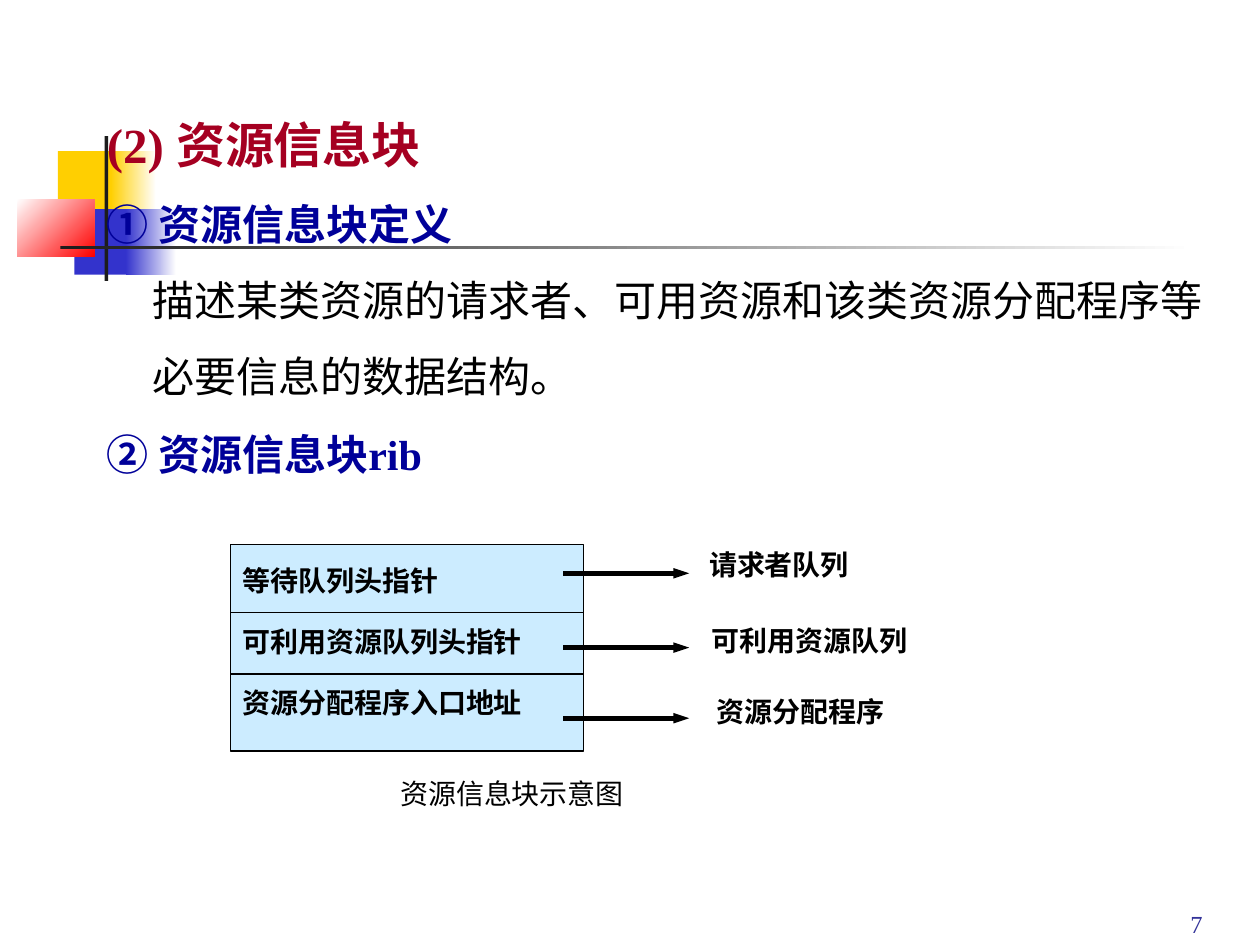
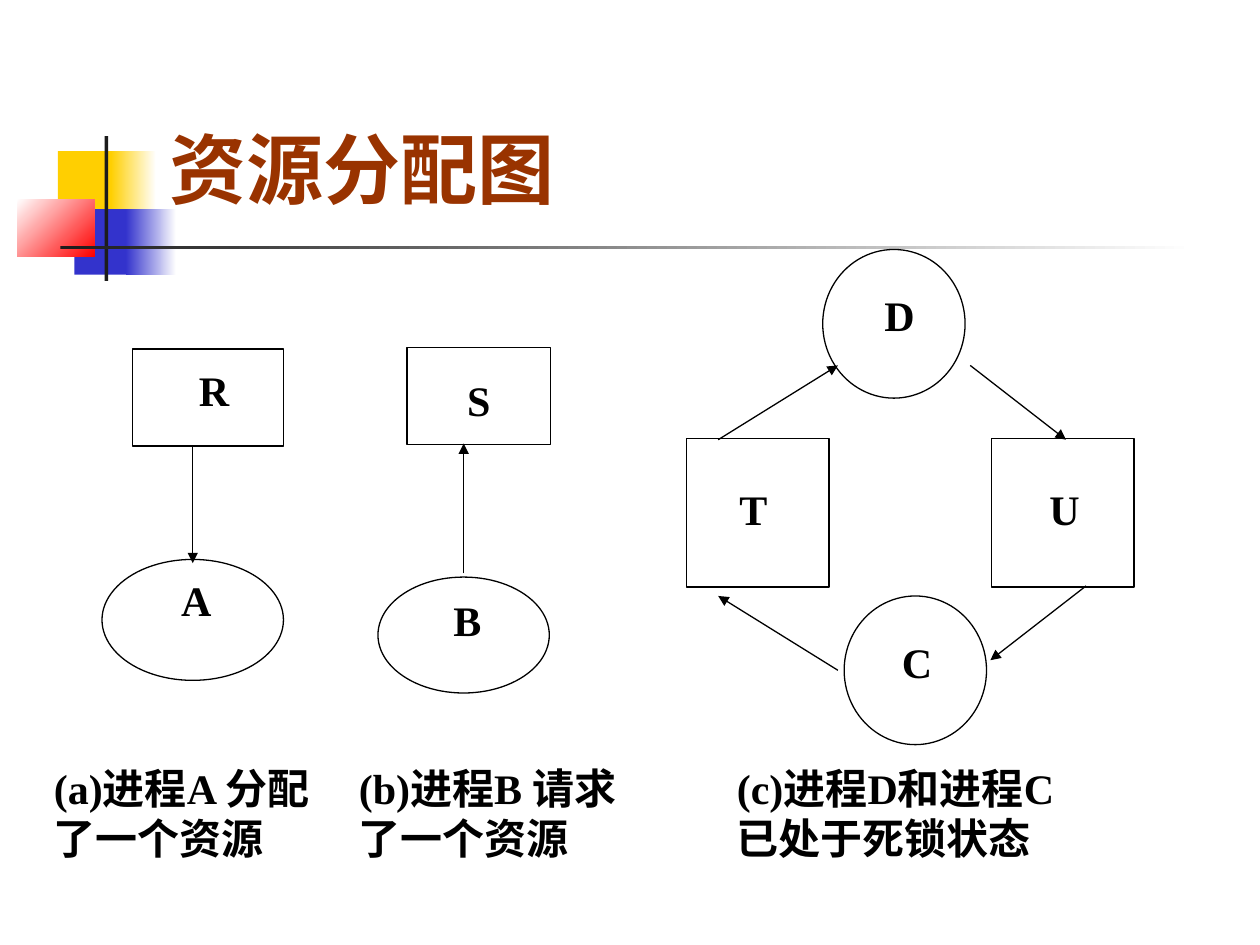
from dataclasses import dataclass

from lxml.etree import SubElement
from pptx import Presentation
from pptx.dml.color import RGBColor
from pptx.enum.shapes import MSO_CONNECTOR as CONN, MSO_SHAPE as SHAPE
from pptx.enum.text import MSO_ANCHOR as ANCHOR, PP_ALIGN as ALIGN
from pptx.oxml.ns import qn
from pptx.util import Inches, Pt


@dataclass(frozen=True)
class Theme:
    font: str = "Times New Roman"
    title_font: str = "Arial"
    black: str = "000000"
    white: str = "FFFFFF"
    ink: str = "1C1C1C"
    yellow: str = "FFCF01"
    blue: str = "3333CC"
    red: str = "FF0000"
    crimson: str = "A50021"
    navy: str = "000099"
    rust: str = "993300"
    indigo: str = "333399"
    pale_blue: str = "CCECFF"
    title: int = 44
    section: int = 28
    body: int = 24
    label: int = 16
    number: int = 14
    thin: float = 0.75
    thick: float = 3


T = Theme()


def rgb(value):
    return RGBColor.from_string(value)


def style(font, size, color=T.black, bold=False, name=T.font):
    font.size, font.bold, font.name = Pt(size), bold, name
    font.color.rgb = rgb(color)


def write(p, text, size, color=T.black, bold=False, name=T.font,
          align=ALIGN.LEFT, spacing=1.0, before=0, indent=0):
    if indent:
        p._p.get_or_add_pPr().set("marL", str(Inches(indent)))
    p.alignment, p.line_spacing, p.space_before = align, spacing, Pt(before)
    style(p.font, size, color, bold, name)
    p.add_run().text = text


def add_text(slide, box, text, size, wrap=True, anchor=ANCHOR.TOP, **look):
    tf = slide.shapes.add_textbox(*map(Inches, box)).text_frame
    tf.word_wrap, tf.vertical_anchor = wrap, anchor
    write(tf.paragraphs[0], text, size, **look)
    return tf


def add_box(slide, box, kind=SHAPE.RECTANGLE, fill=None, fade=None, angle=0, line=None):
    s = slide.shapes.add_shape(kind, *map(Inches, box))
    s.shadow.inherit = False
    if fade:
        s.fill.gradient()
        s.fill.gradient_angle = angle
        for stop, color, position in zip(s.fill.gradient_stops, (fill, fade), (0, 1)):
            stop.color.rgb = rgb(color)
            stop.position = position
    elif fill:
        s.fill.solid()
        s.fill.fore_color.rgb = rgb(fill)
    else:
        s.fill.background()
    if line:
        s.line.color.rgb, s.line.width = rgb(T.black), Pt(line)
    else:
        s.line.fill.background()
    return s


def add_line(slide, start, end, width=T.thin, head=None):
    c = slide.shapes.add_connector(CONN.STRAIGHT, *map(Inches, (*start, *end)))
    c.line.color.rgb, c.line.width = rgb(T.black), Pt(width)
    if head:
        SubElement(c.line._get_or_add_ln(), qn("a:tailEnd"), type="triangle", w=head, len="med")
    SubElement(c._element.spPr, qn("a:effectLst"))


def add_emblem(slide, left, top):
    parts = (
        (0.32, 0.12, 0.48, 0.52, T.yellow, None, 0),
        (0.74, 0.12, 0.36, 0.52, T.yellow, T.white, 0),
        (0.45, 0.58, 0.46, 0.52, T.blue, None, 0),
        (0.86, 0.58, 0.4, 0.52, T.blue, T.white, 0),
        (0, 0.5, 0.61, 0.46, T.white, T.red, 315),
        (0.69, 0, 0.03, 1.15, T.ink, None, 0),
        (0.34, 0.87, 9, 0.03, T.ink, T.white, 0),
    )
    for x, y, w, h, fill, fade, angle in parts:
        add_box(slide, (left + x, top + y, w, h), fill=fill, fade=fade, angle=angle)


def new_slide(prs):
    slide = prs.slides.add_slide(prs.slide_layouts[6])
    add_emblem(slide, 0.14, 1.08)
    return slide


def add_definition(slide, box):
    heading = dict(color=T.navy, bold=True, indent=0.08)
    tf = add_text(slide, box, "(2) 资源信息块", T.section, color=T.crimson,
                  bold=True, spacing=1.3, indent=0.08)
    lines = (
        ("① 资源信息块定义", 6, heading),
        ("描述某类资源的请求者、可用资源和该类资源分配程序等", 6, dict(indent=0.44)),
        ("必要信息的数据结构。", 6, dict(indent=0.44)),
        ("② 资源信息块rib", 7, heading),
    )
    for text, before, look in lines:
        write(tf.add_paragraph(), text, T.body, spacing=1.3, before=before, **look)


def add_info_block(slide, left, top):
    width, height = 2.8, 1.64
    s = add_box(slide, (left, top, width, height), fill=T.pale_blue, line=T.thin)
    tf = s.text_frame
    tf.word_wrap, tf.vertical_anchor = True, ANCHOR.TOP
    fields = ("等待队列头指针", "可利用资源队列头指针", "资源分配程序入口地址")
    for i, field in enumerate(fields):
        p = tf.add_paragraph() if i else tf.paragraphs[0]
        write(p, field, T.label, bold=True, align=ALIGN.JUSTIFY,
              spacing=1.4, before=8 if i else 0)
    for y in (0.54, 1.03):
        add_line(slide, (left, top + y), (left + width, top + y))
    targets = (
        ("请求者队列", 3.7, -0.02, 0.23),
        ("可利用资源队列", 3.72, 0.58, 0.82),
        ("资源分配程序", 3.76, 1.14, 1.38),
    )
    for target, x, y, arrow_y in targets:
        add_line(slide, (left + 2.64, top + arrow_y), (left + 3.64, top + arrow_y),
                 T.thick, head="sm")
        add_text(slide, (left + x, top + y, 2, 0.37), target, T.label, bold=True)
    add_text(slide, (left + 1.25, top + 1.74, 2, 0.42), "资源信息块示意图",
             T.label, align=ALIGN.JUSTIFY, spacing=1.2)


def add_node(slide, box, kind, name, label_x, label_y):
    add_box(slide, box, kind, line=T.thin)
    add_text(slide, (box[0] + label_x, box[1] + label_y, 0.44, 0.5), name,
             T.body, wrap=False, bold=True)


def add_graph(slide, left, top, nodes, arrows):
    for x, y, w, h, kind, name, label_x, label_y in nodes:
        add_node(slide, (left + x, top + y, w, h), kind, name, label_x, label_y)
    for x1, y1, x2, y2 in arrows:
        add_line(slide, (left + x1, top + y1), (left + x2, top + y2), head="med")


def add_deadlock(slide, left, top):
    w, h = 1.13, 1.18
    nodes = (
        (1.08, 0, w, h, SHAPE.OVAL, "D", 0.39, 0.27),
        (1.25, 2.75, w, h, SHAPE.OVAL, "C", 0.36, 0.27),
        (0, 1.5, w, h, SHAPE.RECTANGLE, "T", 0.32, 0.31),
        (2.42, 1.5, w, h, SHAPE.RECTANGLE, "U", 0.36, 0.31),
    )
    arrows = (
        (0.25, 1.51, 1.2, 0.92),
        (2.25, 0.92, 3.01, 1.51),
        (3.17, 2.67, 2.41, 3.26),
        (1.2, 3.34, 0.25, 2.75),
    )
    add_graph(slide, left, top, nodes, arrows)


def build_info_slide(prs):
    slide = new_slide(prs)
    add_text(slide, (9.29, 7.12, 0.41, 0.38), "7", T.number,
             color=T.indigo, align=ALIGN.CENTER, spacing=1.2)
    add_definition(slide, (0.67, 0.72, 9.07, 3.22))
    add_info_block(slide, 1.83, 4.32)


def build_graph_slide(prs):
    slide = new_slide(prs)
    add_text(slide, (1.25, 0.5, 8.52, 1.25), "资源分配图", T.title, anchor=ANCHOR.BOTTOM,
             color=T.rust, bold=True, name=T.title_font)
    add_graph(slide, 0.81, 2.77, (
        (0.24, 0, 1.2, 0.77, SHAPE.RECTANGLE, "R", 0.43, 0.07),
        (0, 1.67, 1.44, 0.96, SHAPE.OVAL, "A", 0.53, 0.07),
    ), ((0.72, 0.77, 0.72, 1.7),))
    add_graph(slide, 3, 2.76, (
        (0.23, 0, 1.14, 0.77, SHAPE.RECTANGLE, "S", 0.38, 0.16),
        (0, 1.82, 1.36, 0.92, SHAPE.OVAL, "B", 0.5, 0.09),
    ), ((0.68, 1.79, 0.68, 0.76),))
    add_deadlock(slide, 5.45, 1.98)
    captions = (
        (0.33, 2.33, 0.9, "(a)进程A 分配了一个资源"),
        (2.75, 2.33, 0.9, "(b)进程B 请求了一个资源"),
        (5.75, 2.75, 1.3, "(c)进程D和进程C已处于死锁状态"),
    )
    for x, w, h, caption in captions:
        add_text(slide, (x, 6, w, h), caption, T.body, bold=True)


def main():
    prs = Presentation()
    prs.slide_width, prs.slide_height = Inches(10), Inches(7.5)
    build_info_slide(prs)
    build_graph_slide(prs)
    prs.save("out.pptx")


if __name__ == "__main__":
    main()
